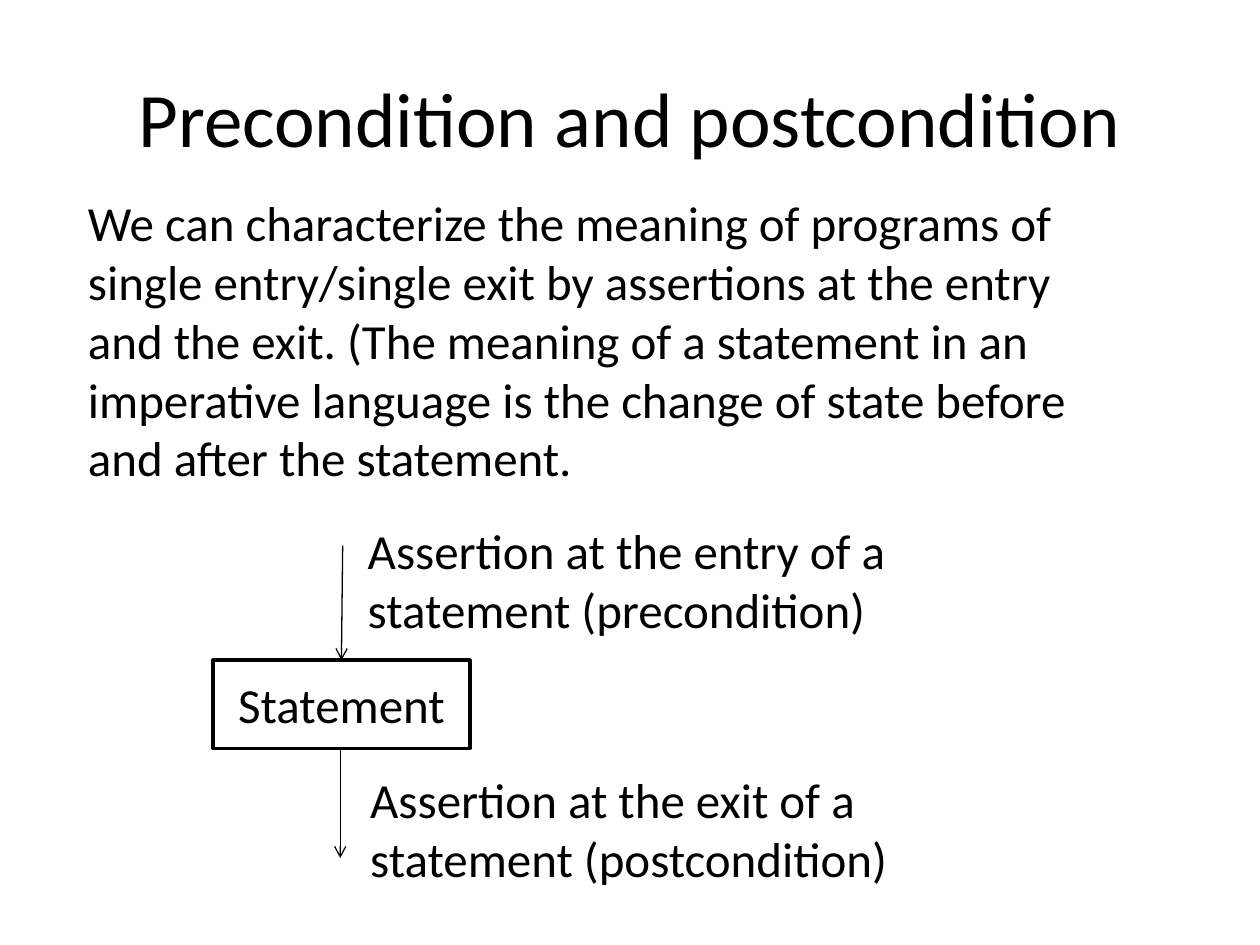
import pptx
import pptx.util
import pptx.dml.color
import pptx.enum.shapes
import pptx.enum.text
import pptx.oxml.ns
import lxml.etree
from dataclasses import dataclass

Inches = pptx.util.Inches
Pt = pptx.util.Pt
Align = pptx.enum.text.PP_ALIGN
Anchor = pptx.enum.text.MSO_ANCHOR


@dataclass(frozen=True)
class Theme:
    font: str = "Calibri"
    ink: pptx.dml.color.RGBColor = pptx.dml.color.RGBColor(0, 0, 0)
    title: int = 44
    body: int = 28
    frame: float = 2
    arrow: float = 0.75


THEME = Theme()


def write(shape, text, size=THEME.body, align=Align.LEFT, anchor=Anchor.TOP):
    """Fill a shape with one formatted paragraph."""
    frame = shape.text_frame
    frame.word_wrap = True
    frame.vertical_anchor = anchor
    para = frame.paragraphs[0]
    para.alignment = align
    run = para.add_run()
    run.text = text
    run.font.name = THEME.font
    run.font.size = Pt(size)
    run.font.color.rgb = THEME.ink


def add_text(slide, place, text, **form):
    box = slide.shapes.add_textbox(*map(Inches, place))
    write(box, text, **form)


def add_box(slide, place, text):
    kind = pptx.enum.shapes.MSO_SHAPE.RECTANGLE
    box = slide.shapes.add_shape(kind, *map(Inches, place))
    box.shadow.inherit = False
    box.fill.background()
    box.line.color.rgb = THEME.ink
    box.line.width = Pt(THEME.frame)
    write(box, text, align=Align.CENTER, anchor=Anchor.MIDDLE)


def add_arrow(slide, start, end):
    kind = pptx.enum.shapes.MSO_CONNECTOR.STRAIGHT
    arrow = slide.shapes.add_connector(kind, *map(Inches, start + end))
    arrow.line.color.rgb = THEME.ink
    arrow.line.width = Pt(THEME.arrow)
    # Open arrowhead, no shadow
    name = pptx.oxml.ns.qn
    line = arrow.line._get_or_add_ln()
    lxml.etree.SubElement(line, name("a:tailEnd"), type="arrow")
    lxml.etree.SubElement(arrow._element.spPr, name("a:effectLst"))


def main():
    deck = pptx.Presentation()
    deck.slide_width = Inches(10)
    deck.slide_height = Inches(7.5)
    slide = deck.slides.add_slide(deck.slide_layouts[6])

    # Title and explanation
    add_text(slide, (0.5, 0.3, 9, 1.25), "Precondition and postcondition",
             size=THEME.title, align=Align.CENTER, anchor=Anchor.MIDDLE)
    add_text(slide, (0.6, 1.48, 8.33, 2.46),
             "We can characterize the meaning of programs of single "
             "entry/single exit by assertions at the entry and the exit. "
             "(The meaning of a statement in an imperative language is the "
             "change of state before and after the statement.")

    # Statement with its entry and exit
    add_box(slide, (1.69, 5.24, 2.04, 0.7), "Statement")
    add_arrow(slide, (2.72, 4.33), (2.71, 5.24))
    add_arrow(slide, (2.7, 5.95), (2.7, 6.81))

    # Assertions beside the arrows
    add_text(slide, (2.82, 4.08, 5.01, 1.04),
             "Assertion at the entry of a statement (precondition)")
    add_text(slide, (2.84, 6.06, 5.04, 1.04),
             "Assertion at the exit of a statement (postcondition)")

    deck.save("out.pptx")


if __name__ == "__main__":
    main()
